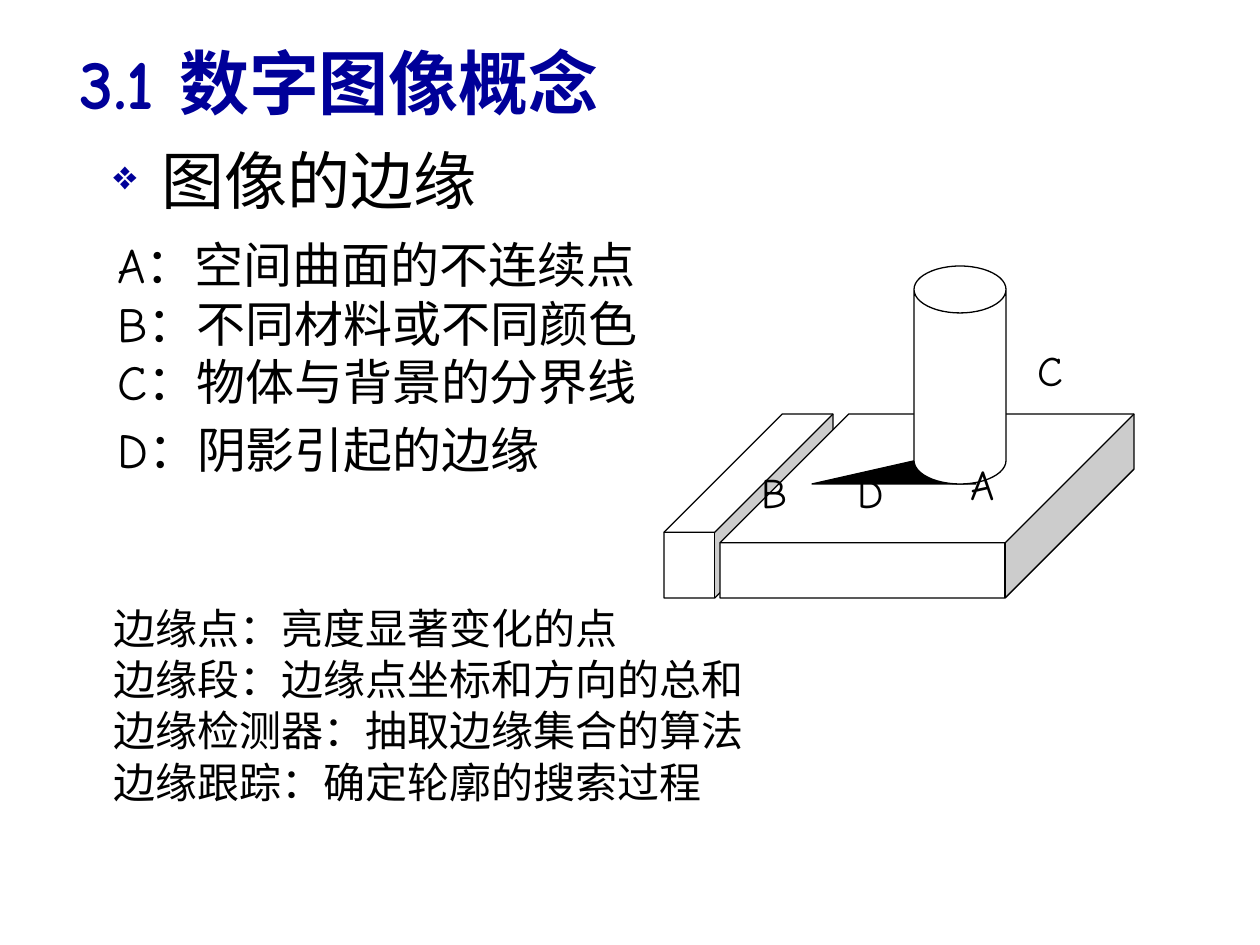
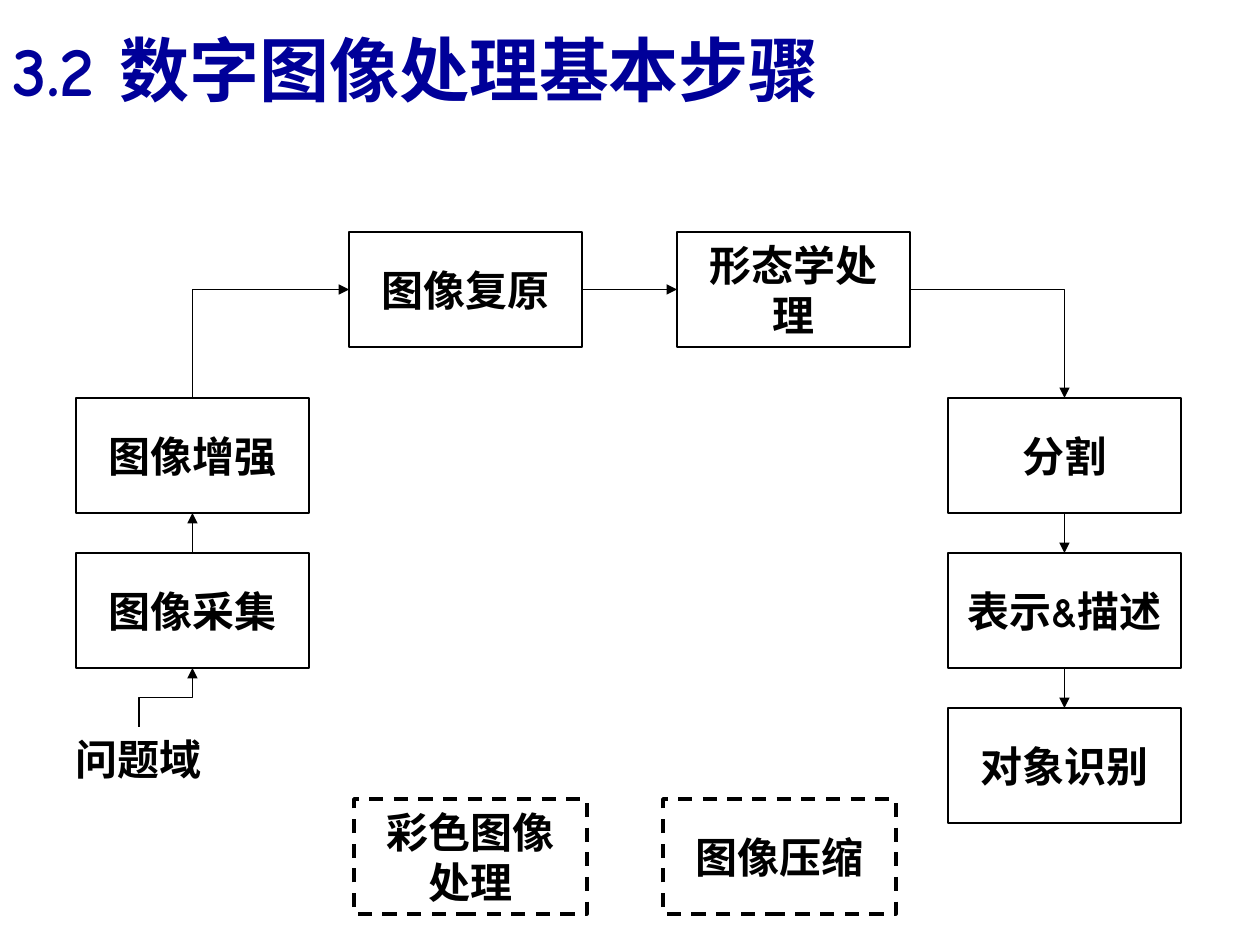
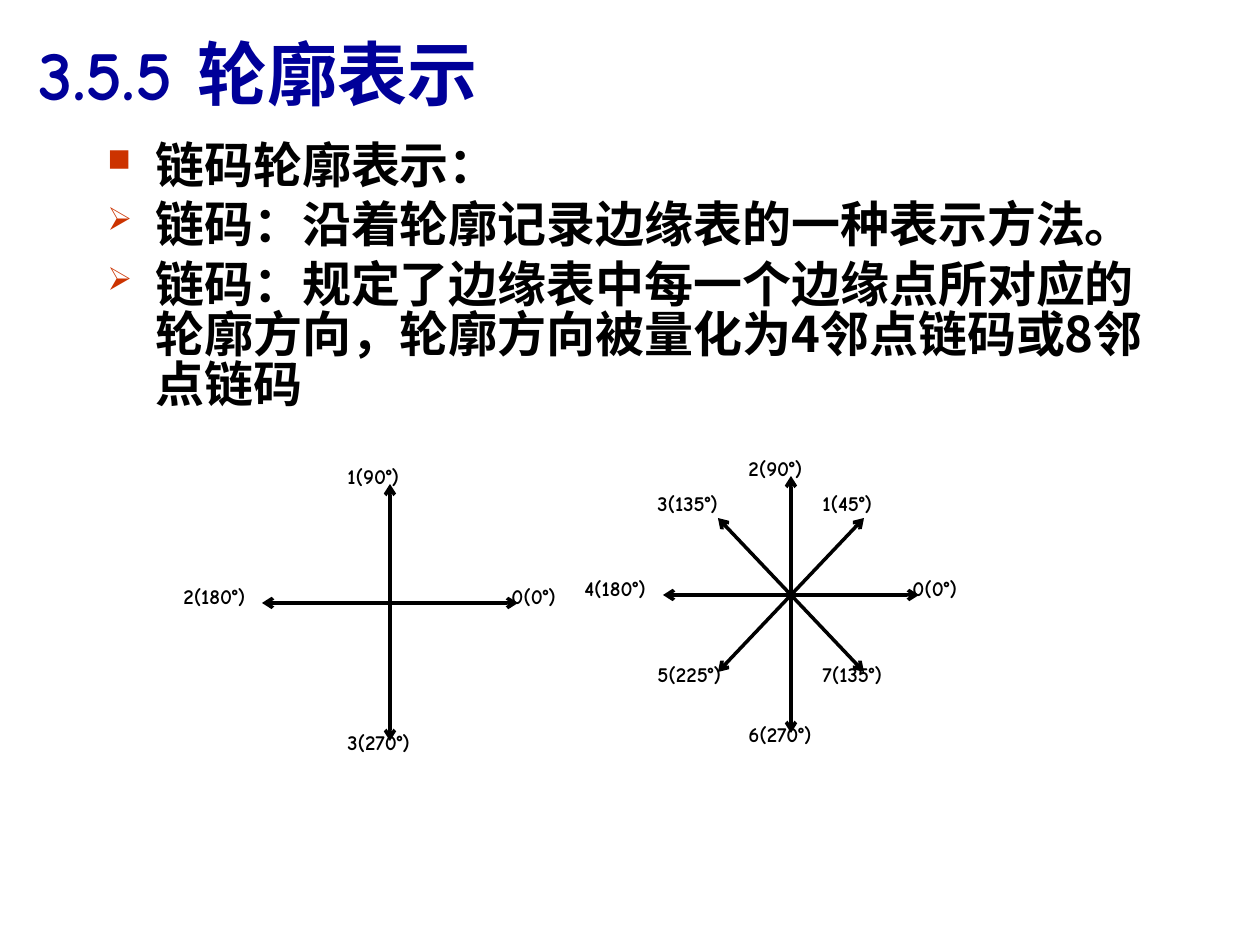
from lxml import etree
from pptx import Presentation
from pptx import util as u
from pptx.dml.color import RGBColor
from pptx.enum import dml, shapes, text
from pptx.oxml.ns import qn

PX = 914400 / 126
INK = {"text": "000000", "title": "000099", "mark": "CC3300", "fill": "FFFFFF"}
LATIN, HAN = "Comic Neue", "Noto Sans CJK SC"
KIND, JOIN, ALIGN = shapes.MSO_SHAPE, shapes.MSO_CONNECTOR, text.PP_ALIGN


def write(shape, at, lines=(), size=24, bold=False, color="text", face=LATIN,
          align=ALIGN.LEFT, lead=None, gap=0, last=None, marks="", tint="title",
          mid=False, inset=None, wrap=True):
    """Place a shape, in px, and fill it with one paragraph a line."""
    shape.left, shape.top, shape.width, shape.height = [int(n * PX) for n in at]
    frame = shape.text_frame
    frame.auto_size, frame.word_wrap = text.MSO_AUTO_SIZE.NONE, wrap
    frame.vertical_anchor = text.MSO_ANCHOR.MIDDLE if mid else text.MSO_ANCHOR.TOP
    if inset is not None:
        frame.margin_left = frame.margin_right = inset
        frame.margin_top = frame.margin_bottom = inset
    for i, line in enumerate(lines):
        para = frame.add_paragraph() if i else frame.paragraphs[0]
        if marks:
            props = para._p.get_or_add_pPr()
            props.set("marL", str(int(48 * PX)))
            props.set("indent", str(int(-48 * PX)))
            hue = etree.SubElement(props, qn("a:buClr"))
            etree.SubElement(hue, qn("a:srgbClr"), val=INK[tint])
            etree.SubElement(props, qn("a:buSzPct"), val="65000")
            etree.SubElement(props, qn("a:buChar"), char=marks[i])
        para.alignment = align
        if lead:
            para.line_spacing = lead
        if i:
            para.space_before = u.Pt(gap)
        run = para.add_run()
        run.text = line
        run.font.size, run.font.bold = u.Pt(size), bold
        run.font.color.rgb = RGBColor.from_string(INK[color])
        run.font.name = face
        etree.SubElement(run._r.get_or_add_rPr(), qn("a:ea"), typeface=LATIN)
    if last:
        para.space_before = u.Pt(last)
    return shape


def wire(slide, kind, ends, weight, tail, head=None):
    """Draw a black connector between two points in px."""
    link = slide.shapes.add_connector(kind, *[int(n * PX) for n in ends])
    link.line.color.rgb = RGBColor.from_string(INK["text"])
    link.line.width = u.Pt(weight)
    props = link._element.spPr
    for tag, tip in (("a:headEnd", head), ("a:tailEnd", tail)):
        if tip:
            etree.SubElement(props.find(qn("a:ln")), qn(tag), type=tip)
    etree.SubElement(props, qn("a:effectLst"))
    return link


deck = Presentation()
deck.slide_width, deck.slide_height = int(1260 * PX), int(945 * PX)

# Slides and titles
pages = []
for name, at in (("3.1 数字图像概念", (67, 3, 644, 158)),
                 ("3.2 数字图像处理基本步骤", (0, 6, 922, 126)),
                 ("3.5.5 轮廓表示", (26, 24, 684, 97))):
    page = deck.slides.add_slide(deck.slide_layouts[5])
    write(page.shapes.title, at, [name], size=40, bold=True, color="title", mid=True)
    pages.append(page)
edge, flow, chain = pages

# Slide 1: text
write(edge.shapes.add_textbox(0, 0, 0, 0), (101, 147, 600, 80), ["图像的边缘"],
      size=36, lead=0.85, marks="❖")
write(edge.shapes.add_textbox(0, 0, 0, 0), (105, 228, 630, 258),
      ["A：空间曲面的不连续点", "B：不同材料或不同颜色",
       "C：物体与背景的分界线", "D：阴影引起的边缘"],
      size=28, align=ALIGN.JUSTIFY, last=5)
write(edge.shapes.add_textbox(0, 0, 0, 0), (101, 604, 1134, 220),
      ["边缘点：亮度显著变化的点", "边缘段：边缘点坐标和方向的总和",
       "边缘检测器：抽取边缘集合的算法", "边缘跟踪：确定轮廓的搜索过程"],
      lead=0.85, gap=4.8)

# Slide 1: solids with their shadow
for kind, at, bend, fill in (
        (KIND.CUBE, (664, 414, 169, 184), 0.7, "fill"),
        (KIND.CUBE, (720, 414, 414, 184), 0.7, "fill"),
        (KIND.ISOSCELES_TRIANGLE, (812, 458, 164, 26), 0.7, "text"),
        (KIND.CAN, (914, 266, 92, 218), 0.51, "fill")):
    solid = write(edge.shapes.add_shape(kind, 0, 0, 0, 0), at)
    solid.adjustments[0] = bend
    solid.shadow.inherit = False
    solid.fill.solid()
    solid.fill.fore_color.rgb = RGBColor.from_string(INK[fill])
    solid.line.color.rgb = RGBColor.from_string(INK["text"])
    solid.line.width = u.Pt(0.75)
for name, x, y in (("A", 970, 458), ("B", 761, 466), ("C", 1037, 344), ("D", 858, 466)):
    write(edge.shapes.add_textbox(0, 0, 0, 0), (x, y, 47, 96), [name],
          align=ALIGN.JUSTIFY, inset=0)

# Slide 2: steps
LEFT, RIGHT = 76, 948
TOP, ROWS = 232, (398, 553, 708)
steps = {}
for name, x, y, dash in (
        ("图像采集", LEFT, ROWS[1], False), ("图像增强", LEFT, ROWS[0], False),
        ("图像复原", 349, TOP, False), ("形态学处理", 677, TOP, False),
        ("分割", RIGHT, ROWS[0], False), ("表示&描述", RIGHT, ROWS[1], False),
        ("对象识别", RIGHT, ROWS[2], False),
        ("彩色图像处理", 354, 799, True), ("图像压缩", 663, 799, True)):
    step = write(flow.shapes.add_shape(KIND.RECTANGLE, 0, 0, 0, 0), (x, y, 233, 115),
                 [name], bold=True, align=ALIGN.CENTER, mid=True)
    step.shadow.inherit = False
    step.fill.solid()
    step.fill.fore_color.rgb = RGBColor.from_string(INK["fill"])
    step.line.color.rgb = RGBColor.from_string(INK["text"])
    step.line.width = u.Pt(2 if dash else 1)
    if dash:
        step.line.dash_style = dml.MSO_LINE.DASH
    steps[name] = step
steps["问题域"] = write(flow.shapes.add_textbox(0, 0, 0, 0), (63, 727, 152, 63),
                     ["问题域"], bold=True, wrap=False)

# Slide 2: arrows; a turned one leaves its step upwards
for start, out, end, into, form in (
        ("问题域", 0, "图像采集", 2, "bentConnector3"),
        ("图像采集", 0, "图像增强", 2, None),
        ("图像增强", 0, "图像复原", 1, "bentConnector2"),
        ("图像复原", 3, "形态学处理", 1, None),
        ("形态学处理", 3, "分割", 0, "bentConnector2"),
        ("分割", 2, "表示&描述", 0, None),
        ("表示&描述", 2, "对象识别", 0, None)):
    link = wire(flow, JOIN.ELBOW if form else JOIN.STRAIGHT, (0, 0, 0, 0), 1, "triangle")
    link.begin_connect(steps[start], out)
    link.end_connect(steps[end], into)
    if form:
        props = link._element.spPr
        props.find(qn("a:prstGeom")).set("prst", form)
        if out == 0:
            x, y, w, h = link.left, link.top, link.width, link.height
            link.left, link.top = x + (w - h) // 2, y + (h - w) // 2
            link.width, link.height = h, w
            turn = props.find(qn("a:xfrm"))
            turn.attrib.pop("flipV", None)
            turn.set("rot", "16200000")

# Slide 3: text
write(chain.shapes.add_textbox(0, 0, 0, 0), (95, 137, 1081, 290),
      ["链码轮廓表示：", "链码：沿着轮廓记录边缘表的一种表示方法。",
       "链码：规定了边缘表中每一个边缘点所对应的轮廓方向，轮廓方向被量化为4邻点链码或8邻点链码"],
      size=28, bold=True, face=HAN, lead=u.Pt(28.5), gap=5.6, marks="■➢➢", tint="mark")

# Slide 3: direction stars, everything measured from the centre
AXES = [(-128, 0, 128, 0), (0, -119, 0, 138)]
CROSS = [(-73, -77, 73, 77), (73, -77, -73, 77)]
SIDES = [(109, -26), (-55, -146), (-219, -26), (-55, 120)]
CORNERS = [(19, -111), (-146, -111), (-146, 60), (19, 60)]
for x, y, rays, spots, names in (
        (390, 603, AXES, SIDES, ["0(0°)", "1(90°)", "2(180°)", "3(270°)"]),
        (791, 595, AXES + CROSS, SIDES + CORNERS,
         ["0(0°)", "2(90°)", "4(180°)", "6(270°)",
          "1(45°)", "3(135°)", "5(225°)", "7(135°)"])):
    for a, b, c, d in rays:
        wire(chain, JOIN.STRAIGHT, (x + a, y + b, x + c, y + d), 2, "arrow", "arrow")
    for (dx, dy), name in zip(spots, names):
        write(chain.shapes.add_textbox(0, 0, 0, 0), (x + dx, y + dy, 127, 56),
              [name], size=12, bold=True)

deck.save("out.pptx")
